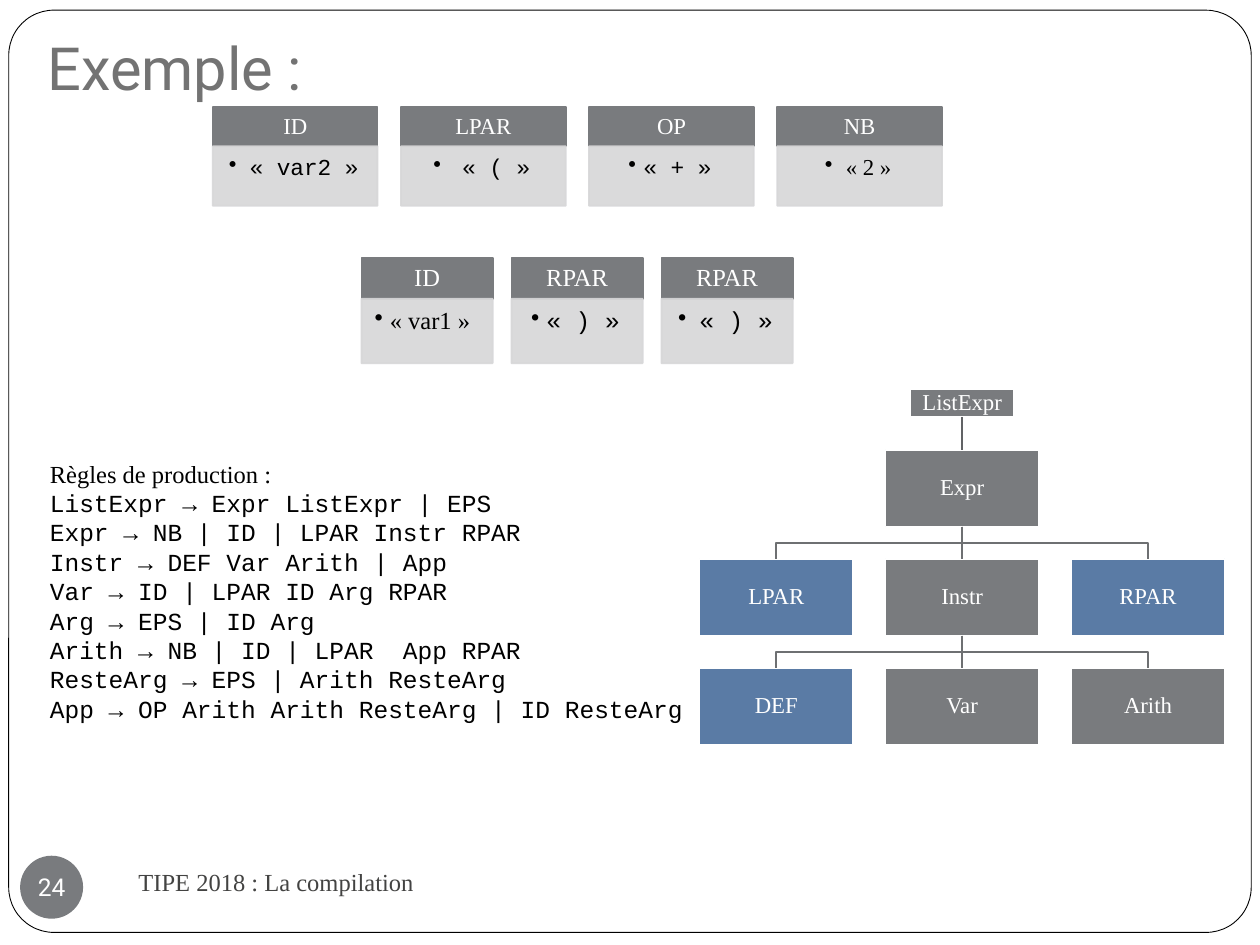
from dataclasses import dataclass

from lxml.etree import SubElement
from pptx import Presentation
from pptx.dml.color import RGBColor
from pptx.enum.shapes import MSO_CONNECTOR, MSO_SHAPE
from pptx.enum.text import MSO_ANCHOR, PP_ALIGN
from pptx.oxml.ns import qn
from pptx.util import Pt

RECT, ROUND, OVAL = MSO_SHAPE.RECTANGLE, MSO_SHAPE.ROUNDED_RECTANGLE, MSO_SHAPE.OVAL
TOP, MID, LOW = MSO_ANCHOR.TOP, MSO_ANCHOR.MIDDLE, MSO_ANCHOR.BOTTOM
LEFT, CENTER = PP_ALIGN.LEFT, PP_ALIGN.CENTER
STRAIGHT = MSO_CONNECTOR.STRAIGHT
SERIF, MONO, SANS = "Times New Roman", "Courier New", "Roboto"
GREY, PALE, BLUE, WHITE, BLACK = "797B7E", "D7D7D8", "5A7BA5", "FFFFFF", "000000"
STEM, BRANCH = "616365", "6E7072"


@dataclass
class Run:
    text: str
    font: str = SERIF


@dataclass
class Card:
    name: str
    runs: list[Run]


@dataclass
class Row:
    left: float
    top: float
    width: float
    step: float
    head: float
    body: float
    size: float
    cards: list[Card]


@dataclass
class Node:
    name: str
    col: int
    row: int
    fill: str = GREY


ROWS = [
    Row(121.6, 61.2, 94.2, 107.5, 22.4, 34, 13, [
        Card("ID", [Run(" "), Run("« var2 »", MONO)]),
        Card("LPAR", [Run(" « ( »", MONO)]),
        Card("OP", [Run("« + »", MONO)]),
        Card("NB", [Run(" « 2 »")]),
    ]),
    Row(206.6, 147.4, 75, 85.7, 23.4, 36.8, 14, [
        Card("ID", [Run("« var1 » ")]),
        Card("RPAR", [Run("« ) »", MONO)]),
        Card("RPAR", [Run(" "), Run("« ) »", MONO)]),
    ]),
]
RULES = [
    "ListExpr → Expr ListExpr | EPS",
    "Expr → NB | ID | LPAR Instr RPAR",
    "Instr → DEF Var Arith | App",
    "Var → ID | LPAR ID Arg RPAR",
    "Arg → EPS | ID Arg",
    "Arith → NB | ID | LPAR  App RPAR",
    "ResteArg → EPS | Arith ResteArg",
    "App → OP Arith Arith ResteArg | ID ResteArg",
]
NODES = [
    Node("Expr", 1, 0),
    Node("LPAR", 0, 1, BLUE), Node("Instr", 1, 1), Node("RPAR", 2, 1, BLUE),
    Node("DEF", 0, 2, BLUE), Node("Var", 1, 2), Node("Arith", 2, 2),
]


def paint(form, color: str, alpha: int = 100) -> None:
    """Give a fill, font or line format a solid colour."""
    form.solid()
    form.fore_color.rgb = RGBColor.from_string(color)
    if alpha < 100:
        tint = form._xPr.find(qn("a:solidFill"))[0]
        SubElement(tint, qn("a:alpha"), val=str(alpha * 1000))


def write(shape, *runs: Run, size: float = 14, color: str = BLACK,
          align=LEFT, anchor=TOP, inset=(7.2, 3.6, 7.2, 3.6),
          space: float = 1, wrap: bool = True, dot: bool = False) -> None:
    """Add one formatted paragraph to a shape."""
    frame = shape.text_frame
    para = frame.add_paragraph() if frame.text else frame.paragraphs[0]
    frame.word_wrap, frame.vertical_anchor = wrap, anchor
    (frame.margin_left, frame.margin_top,
     frame.margin_right, frame.margin_bottom) = map(Pt, inset)
    para.alignment, para.line_spacing = align, space
    if dot:
        props = para._p.get_or_add_pPr()
        props.set("marL", str(Pt(8.64)))
        props.set("indent", str(-Pt(8.64)))
        SubElement(props, qn("a:buChar"), char="•")
    for item in runs:
        run = para.add_run()
        run.text = item.text
        run.font.name, run.font.size = item.font, Pt(size)
        paint(run.font.fill, color)


def block(slide, kind, left: float, top: float, width: float, height: float,
          fill: str, line: str = "", weight: float = 1, alpha: int = 100):
    """Draw a filled preset shape with an optional outline."""
    shape = slide.shapes.add_shape(kind, Pt(left), Pt(top), Pt(width), Pt(height))
    shape.shadow.inherit = False
    paint(shape.fill, fill, alpha)
    if line:
        paint(shape.line.fill, line, alpha)
        shape.line.width = Pt(weight)
    else:
        shape.line.fill.background()
    return shape


def label(slide, left: float, top: float, width: float, height: float):
    """Add an empty text box."""
    return slide.shapes.add_textbox(Pt(left), Pt(top), Pt(width), Pt(height))


def deal(slide, row: Row) -> None:
    """Draw a row of token cards."""
    for i, card in enumerate(row.cards):
        left = row.left + i * row.step
        head = block(slide, RECT, left, row.top, row.width, row.head, GREY, GREY)
        write(head, Run(card.name), size=row.size, color=WHITE, align=CENTER,
              anchor=MID, inset=(7.4, 4.2, 7.4, 4.2), space=0.9)
        body = block(slide, RECT, left, row.top + row.head, row.width, row.body,
                     PALE, PALE, alpha=90)
        write(body, *card.runs, size=row.size, align=CENTER,
              inset=(5.6, 5.6, 7.4, 8.4), space=0.9, dot=True)


def cell(slide, name: str, mid: float, top: float, width: float,
         height: float, fill: str = GREY):
    """Draw a tree node centred on a given abscissa."""
    shape = block(slide, RECT, mid - width / 2, top, width, height, fill, WHITE)
    write(shape, Run(name), size=13, color=WHITE, align=CENTER, anchor=MID,
          inset=(0.6, 0.6, 0.6, 0.6), space=0.9)
    return shape


def stem(slide, upper, lower, color: str) -> None:
    """Join two stacked nodes with a straight line."""
    line = slide.shapes.add_connector(STRAIGHT, 0, 0, 0, 0)
    line.begin_connect(upper, 2)
    line.end_connect(lower, 0)
    paint(line.line.fill, color)
    line.line.width = Pt(1)
    SubElement(line._element.spPr, qn("a:effectLst"))


def elbow(slide, upper, lower) -> None:
    """Join a node to a child standing to its side."""
    start, end = (s.left + s.width // 2 for s in (upper, lower))
    base = upper.top + upper.height
    half = (base + lower.top) // 2
    pen = slide.shapes.build_freeform(start, base)
    pen.add_line_segments([(start, half), (end, half), (end, lower.top)], close=False)
    path = pen.convert_to_shape()
    path.shadow.inherit = False
    path.fill.background()
    paint(path.line.fill, BRANCH)
    path.line.width = Pt(1)


def tree(slide) -> None:
    """Draw the syntax tree."""
    root = cell(slide, "ListExpr", 549.8, 222.6, 59, 15.7)
    cells = {(n.col, n.row): cell(slide, n.name, 443.6 + 106.2 * n.col,
                                  257 + 62.3 * n.row, 87.6, 44, n.fill)
             for n in NODES}
    stem(slide, root, cells[1, 0], STEM)
    for row in (1, 2):
        boss = cells[1, row - 1]
        stem(slide, boss, cells[1, row], BRANCH)
        for col in (0, 2):
            elbow(slide, boss, cells[col, row])


def main() -> None:
    """Build the slide and save it."""
    deck = Presentation()
    deck.slide_width, deck.slide_height = Pt(720), Pt(540)
    slide = deck.slides.add_slide(deck.slide_layouts[6])
    frame = block(slide, ROUND, 5, 5.8, 710, 527, WHITE, BLACK, 0.5)
    frame.adjustments[0] = 0.049
    write(label(slide, 72, 486, 312, 36), Run("TIPE 2018 : La compilation"),
          color="434342", anchor=MID)
    write(block(slide, OVAL, 11.5, 489, 36, 36, GREY), Run("24", SANS),
          color=WHITE, align=CENTER, anchor=MID, inset=(0, 0, 0, 0), wrap=False)
    write(label(slide, 20.2, 20.9, 692, 44.6), Run("Exemple :", SANS), size=34,
          color="737373", anchor=LOW, inset=(7.2, 3.6, 7.2, 7.2))
    for row in ROWS:
        deal(slide, row)
    rules = label(slide, 21.4, 258.5, 510.5, 160)
    write(rules, Run("Règles de production :"))
    for rule in RULES:
        write(rules, Run(rule, MONO))
    tree(slide)
    deck.save("out.pptx")


if __name__ == "__main__":
    main()
